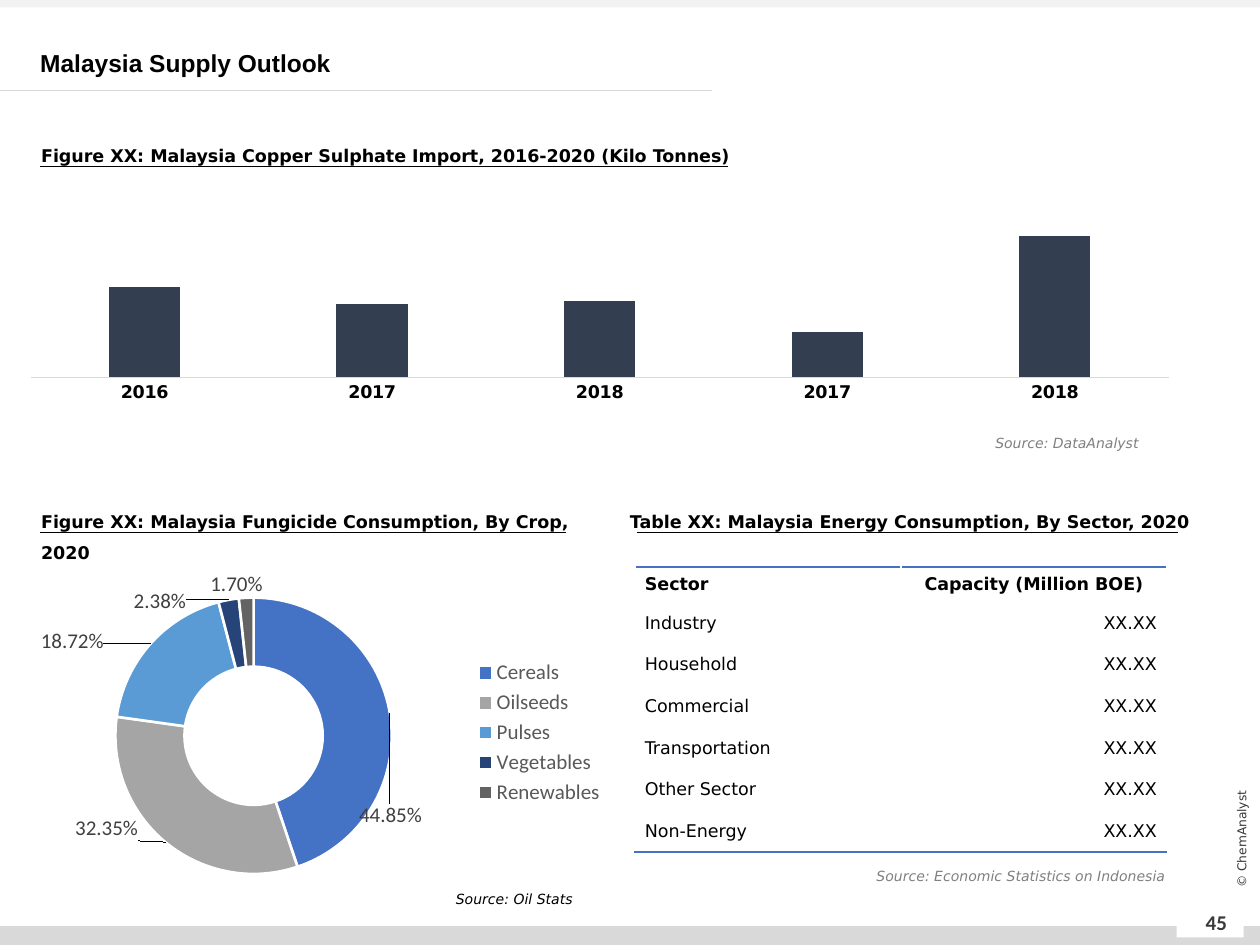
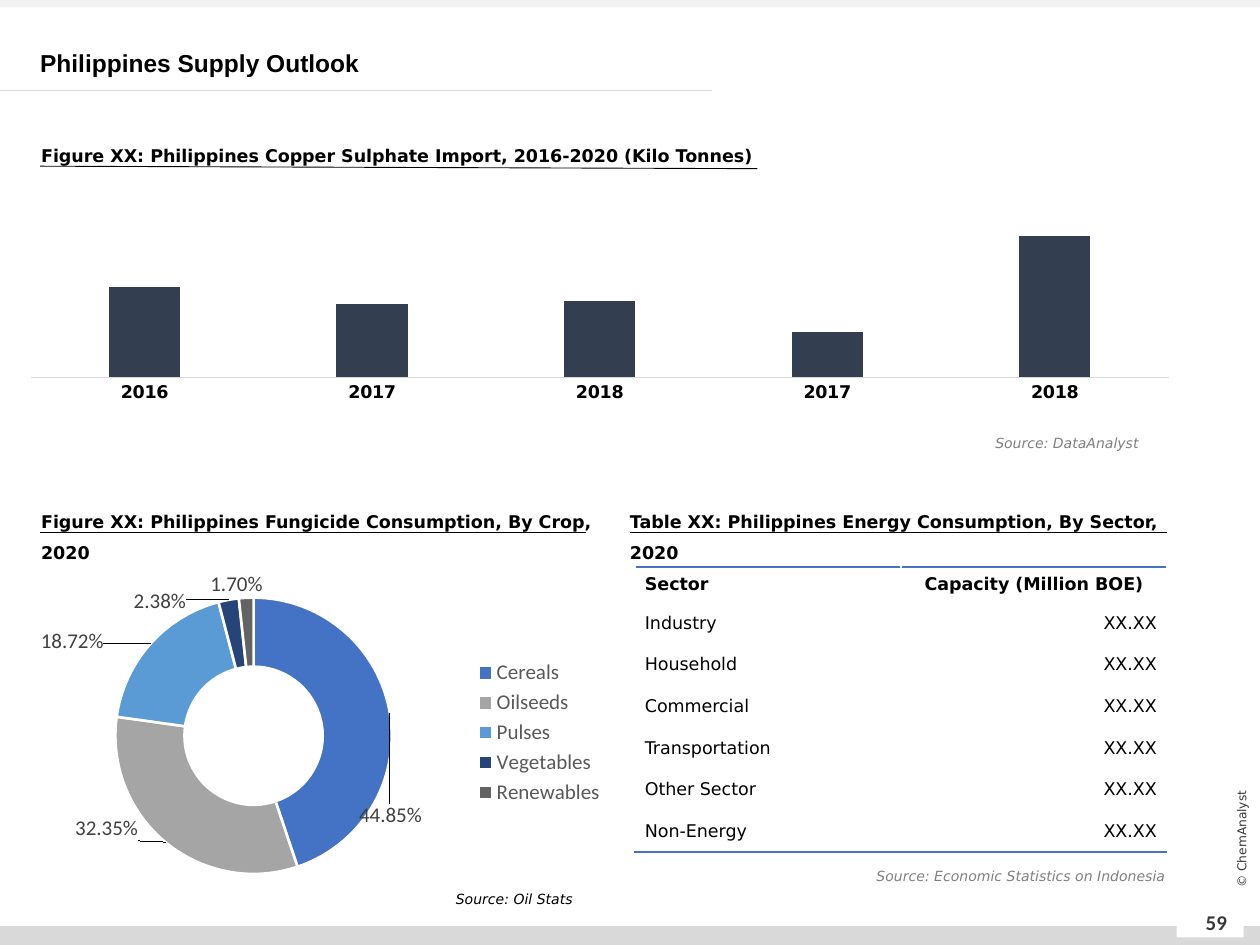
"""Build the supply outlook slides for Malaysia and the Philippines."""
import dataclasses

import lxml.etree
import pptx
import pptx.chart.data
import pptx.dml.color
import pptx.enum.chart
import pptx.enum.shapes
import pptx.enum.text
import pptx.oxml.ns
import pptx.util

Cm = pptx.util.Cm
Pt = pptx.util.Pt
qn = pptx.oxml.ns.qn
ALIGN = pptx.enum.text.PP_ALIGN
MIDDLE = pptx.enum.text.MSO_ANCHOR.MIDDLE


@dataclasses.dataclass(frozen=True)
class Theme:
    """Colours, fonts and type sizes."""
    black: str = "000000"
    white: str = "FFFFFF"
    dark: str = "3B3838"
    grey: str = "808080"
    rule: str = "D9D9D9"
    pale: str = "F2F2F2"
    navy: str = "333F50"
    blue: str = "4472C4"
    label: str = "404040"
    legend: str = "595959"
    crops: tuple = ("4472C4", "A5A5A5", "5B9BD5", "264478", "636363")
    head: str = "Arial"
    body: str = "DejaVu Sans"
    plain: str = "Calibri"
    title: int = 14
    large: int = 12
    text: int = 10
    small: int = 8
    tiny: int = 7


THEME = Theme()
YEARS = ("2016", "2017", "2018", "2017", "2018")
TONNES = (64, 52, 54, 32, 100)
CROPS = ("Cereals", "Oilseeds", "Pulses", "Vegetables", "Renewables")
SHARES = (0.4485, 0.3235, 0.1872, 0.0238, 0.017)
SHIFTS = ((0.06, 0.3), (-0.14, 0.04), (-0.18, -0.08), (-0.13, -0.1), (-0.02, -0.15))
SECTORS = ("Industry", "Household", "Commercial", "Transportation",
           "Other Sector", "Non-Energy")


def paint(color):
    """Return a colour from its hex code."""
    return pptx.dml.color.RGBColor.from_string(color)


def style(font, size, color=THEME.black, face=THEME.body, bold=False, italic=False):
    """Set the look of a font."""
    font.size, font.name = Pt(size), face
    font.bold, font.italic = bold, italic
    font.color.rgb = paint(color)


def node(parent, tag, place=None, **attrs):
    """Add an XML child, at a given place or at the end."""
    child = lxml.etree.SubElement(parent, qn(tag), attrs)
    if place is not None:
        parent.insert(place, child)
    return child


def layout(parent, place, **sizes):
    """Add a manual chart layout."""
    frame = node(node(parent, "c:layout", place), "c:manualLayout")
    if "w" in sizes:
        node(frame, "c:layoutTarget", val="inner")
        node(frame, "c:xMode", val="edge")
        node(frame, "c:yMode", val="edge")
    for name, size in sizes.items():
        node(frame, f"c:{name}", val=str(size))


def place_plot(chart, *box):
    """Fix the plot area inside a chart."""
    area = chart.element.xpath(".//c:plotArea")[0]
    for old in area.findall(qn("c:layout")):
        area.remove(old)
    layout(area, 0, **dict(zip("xywh", box)))


def write(slide, text, box, size, align=ALIGN.LEFT, space=None, anchor=None, **look):
    """Add a text box with one paragraph."""
    shape = slide.shapes.add_textbox(*map(Cm, box))
    frame = shape.text_frame
    frame.word_wrap = True
    if anchor is not None:
        frame.vertical_anchor = anchor
    para = frame.paragraphs[0]
    para.text, para.alignment = text, align
    if space:
        para.line_spacing = space
    style(para.font, size, **look)
    return shape


def band(slide, color, *box):
    """Add a plain filled rectangle."""
    shape = slide.shapes.add_shape(pptx.enum.shapes.MSO_SHAPE.RECTANGLE, *map(Cm, box))
    shape.shadow.inherit = False
    shape.fill.solid()
    shape.fill.fore_color.rgb = paint(color)
    shape.line.fill.background()


def rule(slide, color, *ends):
    """Add a thin line."""
    line = slide.shapes.add_connector(pptx.enum.shapes.MSO_CONNECTOR.STRAIGHT, *map(Cm, ends))
    line.line.color.rgb = paint(color)
    line.line.width = Pt(0.5)
    node(line.element.spPr, "a:effectLst")


def caption(slide, text, box, ends):
    """Add an underlined figure or table caption."""
    write(slide, text, box, THEME.text, space=1.5, bold=True)
    rule(slide, THEME.black, *ends)


def source(slide, text, box, align=ALIGN.RIGHT, color=THEME.grey):
    """Add a source note."""
    write(slide, f"Source: {text}", box, THEME.small, align, color=color, italic=True)


def frame(slide, title, page):
    """Add the bands, title, page number and copyright line."""
    band(slide, THEME.rule, 0, 18.67, 25.4, 0.38)
    band(slide, THEME.pale, 0, 0, 25.4, 0.15)
    band(slide, THEME.white, 23.72, 18.34, 1.35, 0.56)
    rule(slide, THEME.rule, 0, 1.83, 14.35, 1.83)
    write(slide, str(page), (23.9, 18.08, 1.24, 1.02), THEME.large, ALIGN.CENTER,
          anchor=MIDDLE, color=THEME.dark, face=THEME.plain, bold=True)
    credit = write(slide, "© ChemAnalyst", (23.5, 16.71, 3.05, 0.41), THEME.tiny,
                   ALIGN.CENTER, anchor=MIDDLE, color=THEME.dark)
    credit.rotation = 270
    write(slide, title, (0.56, 0.86, 24.79, 0.81), THEME.title, space=Pt(17),
          anchor=MIDDLE, face=THEME.head, bold=True)


def graph(slide, kind, names, values, box, face):
    """Add a chart with one series."""
    data = pptx.chart.data.CategoryChartData()
    data.categories = names
    data.add_series("Series 1", values)
    chart = slide.shapes.add_chart(kind, *map(Cm, box), data).chart
    chart.has_title = False
    style(chart.font, THEME.text, face=face)
    return chart


def columns(slide):
    """Add the import column chart."""
    chart = graph(slide, pptx.enum.chart.XL_CHART_TYPE.COLUMN_CLUSTERED, YEARS, TONNES,
                  (0.61, 3.68, 22.96, 5.28), THEME.body)
    chart.has_legend = False
    plot = chart.plots[0]
    plot.gap_width, plot.overlap = 219, -27
    plot.vary_by_categories = False
    fill = plot.series[0].format.fill
    fill.solid()
    fill.fore_color.rgb = paint(THEME.navy)
    years, scale = chart.category_axis, chart.value_axis
    years.major_tick_mark = pptx.enum.chart.XL_TICK_MARK.NONE
    years.format.line.color.rgb = paint(THEME.rule)
    years.format.line.width = Pt(0.75)
    style(years.tick_labels.font, THEME.text, bold=True)
    scale.visible = scale.has_major_gridlines = False
    scale.minimum_scale, scale.maximum_scale = 0, 108
    place_plot(chart, 0, 0.16, 1, 0.584)


def ring(slide):
    """Add the crop doughnut chart."""
    chart = graph(slide, pptx.enum.chart.XL_CHART_TYPE.DOUGHNUT, CROPS, SHARES,
                  (0.81, 11.53, 11.63, 6.48), THEME.plain)
    chart.has_legend = True
    chart.legend.position = pptx.enum.chart.XL_LEGEND_POSITION.RIGHT
    chart.legend.include_in_layout = False
    style(chart.legend.font, THEME.large, THEME.legend, THEME.plain)
    plot = chart.plots[0]
    plot.vary_by_categories = True
    series = plot.series[0]
    labels = series.data_labels
    labels.show_value = True
    labels.number_format, labels.number_format_is_linked = "0.00%", False
    style(labels.font, THEME.large, THEME.label, THEME.plain)
    for index, color in enumerate(THEME.crops):
        point = series.points[index]
        point.format.fill.solid()
        point.format.fill.fore_color.rgb = paint(color)
        point.format.line.color.rgb = paint(THEME.white)
        point.format.line.width = Pt(1.5)
        style(point.data_label.font, THEME.large, THEME.label, THEME.plain)
    for label, (x, y) in zip(chart.element.xpath(".//c:dLbl"), SHIFTS):
        layout(label, 1, x=x, y=y)
        node(label, "c:numFmt", 2, formatCode="0.00%", sourceLinked="0")
    place_plot(chart, 0.13, 0.08, 0.48, 0.86)


def edge(cells, tag):
    """Draw a blue border on one side of some cells."""
    for cell in cells:
        line = node(cell, tag, 0, w=str(Pt(1)))
        node(node(line, "a:solidFill"), "a:srgbClr", val=THEME.blue)


def sheet(slide):
    """Add the table of sectors."""
    rows = [("Sector", "Capacity (Million BOE)")] + [(name, "XX.XX") for name in SECTORS]
    shape = slide.shapes.add_table(len(rows), 2, *map(Cm, (12.8, 11.43, 10.72, 5.77)))
    table = shape.table
    table.first_row = table.horz_banding = False
    for r, row in enumerate(rows):
        table.rows[r].height = Cm(0.84 if r else 0.71)
        for c, text in enumerate(row):
            cell = table.cell(r, c)
            cell.fill.background()
            cell.vertical_anchor = MIDDLE
            cell.margin_left = cell.margin_right = Cm(0.2)
            cell.margin_top = cell.margin_bottom = Cm(0.1)
            para = cell.text_frame.paragraphs[0]
            para.text = text
            if c:
                para.alignment = ALIGN.RIGHT if r else ALIGN.CENTER
            style(para.font, THEME.text, bold=not r)
    edge(shape.element.xpath(".//a:tr[1]//a:tcPr"), "a:lnT")
    edge(shape.element.xpath(".//a:tr[last()]//a:tcPr"), "a:lnB")


def outlook(deck, land, page, first, crop, sector):
    """Add the outlook slide of one country."""
    slide = deck.slides.add_slide(deck.slide_layouts[6])
    frame(slide, f"{land} Supply Outlook", page)
    caption(slide, f"Figure XX: {land} Copper Sulphate Import, 2016-2020 (Kilo Tonnes)",
            (0.58, 2.59, 22.4, 0.81), (0.81, 3.35, *first))
    columns(slide)
    source(slide, "DataAnalyst", (17.09, 8.64, 6.12, 0.61))
    ring(slide)
    caption(slide, f"Figure XX: {land} Fungicide Consumption, By Crop, 2020",
            (0.58, 9.96, 11.86, 1.45), (0.81, 10.74, crop, 10.74))
    source(slide, "Oil Stats", (8.94, 17.83, 3.18, 0.61), ALIGN.LEFT, THEME.black)
    left, right = sector
    caption(slide, f"Table XX: {land} Energy Consumption, By Sector, 2020",
            (12.45, 9.96, 11.86, 1.45), (left, 10.74, right, 10.74))
    sheet(slide)
    source(slide, "Economic Statistics on Indonesia", (16.69, 17.37, 7.06, 0.61))


def main():
    """Build and save the deck."""
    deck = pptx.Presentation()
    deck.slide_width, deck.slide_height = Cm(25.4), Cm(19.05)
    outlook(deck, "Malaysia", 45, (14.68, 3.35), 11.4, (12.85, 23.75))
    outlook(deck, "Philippines", 59, (15.27, 3.4), 11.81, (12.7, 23.52))
    deck.save("out.pptx")


if __name__ == "__main__":
    main()
